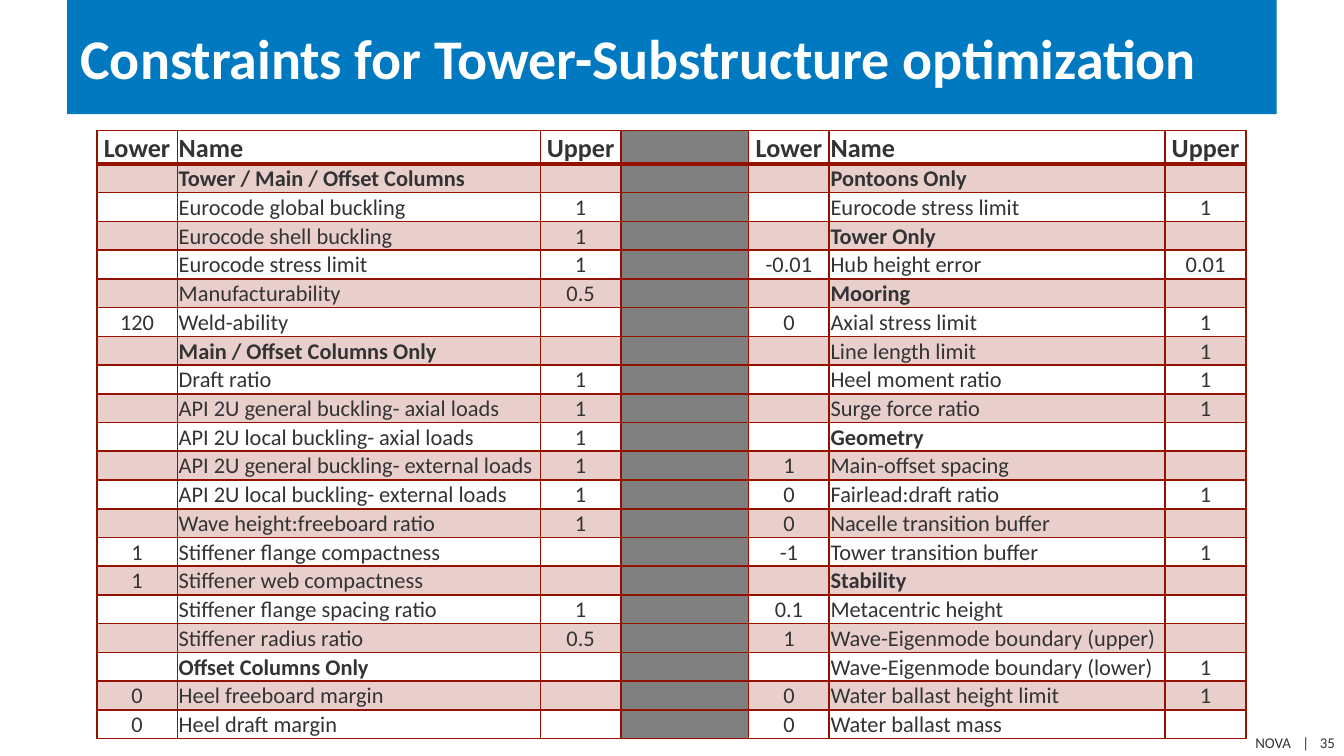
import dataclasses

import lxml.etree
import pptx
import pptx.dml.color
import pptx.enum.shapes
import pptx.enum.text
import pptx.oxml.ns
import pptx.util

Inches = pptx.util.Inches
Pt = pptx.util.Pt
RGB = pptx.dml.color.RGBColor.from_string
qn = pptx.oxml.ns.qn
ALIGN = pptx.enum.text.PP_ALIGN
ANCHOR = pptx.enum.text.MSO_ANCHOR


@dataclasses.dataclass(frozen=True)
class Theme:
    font: str = "Calibri"
    banner: str = "0079C1"
    title_text: str = "FFFFFF"
    text: str = "333333"
    accent: str = "941100"
    divider: str = "808080"
    band_opacity: int = 20
    title_size: int = 30
    header_size: int = 14
    body_size: int = 12
    footer_size: int = 8


HEADER = ("Lower", "Name", "Upper")
SECTIONS = {
    "Tower / Main / Offset Columns", "Main / Offset Columns Only",
    "Offset Columns Only", "Pontoons Only", "Tower Only", "Mooring",
    "Geometry", "Stability",
}
LEFT = [
    ("", "Tower / Main / Offset Columns", ""),
    ("", "Eurocode global buckling", "1"),
    ("", "Eurocode shell buckling", "1"),
    ("", "Eurocode stress limit", "1"),
    ("", "Manufacturability", "0.5"),
    ("120", "Weld-ability", ""),
    ("", "Main / Offset Columns Only", ""),
    ("", "Draft ratio", "1"),
    ("", "API 2U general buckling- axial loads", "1"),
    ("", "API 2U local buckling- axial loads", "1"),
    ("", "API 2U general buckling- external loads", "1"),
    ("", "API 2U local buckling- external loads", "1"),
    ("", "Wave height:freeboard ratio", "1"),
    ("1", "Stiffener flange compactness", ""),
    ("1", "Stiffener web compactness", ""),
    ("", "Stiffener flange spacing ratio", "1"),
    ("", "Stiffener radius ratio", "0.5"),
    ("", "Offset Columns Only", ""),
    ("0", "Heel freeboard margin", ""),
    ("0", "Heel draft margin", ""),
]
RIGHT = [
    ("", "Pontoons Only", ""),
    ("", "Eurocode stress limit", "1"),
    ("", "Tower Only", ""),
    ("-0.01", "Hub height error", "0.01"),
    ("", "Mooring", ""),
    ("0", "Axial stress limit", "1"),
    ("", "Line length limit", "1"),
    ("", "Heel moment ratio", "1"),
    ("", "Surge force ratio", "1"),
    ("", "Geometry", ""),
    ("1", "Main-offset spacing", ""),
    ("0", "Fairlead:draft ratio", "1"),
    ("0", "Nacelle transition buffer", ""),
    ("-1", "Tower transition buffer", "1"),
    ("", "Stability", ""),
    ("0.1", "Metacentric height", ""),
    ("1", "Wave-Eigenmode boundary (upper)", ""),
    ("", "Wave-Eigenmode boundary (lower)", "1"),
    ("0", "Water ballast height limit", "1"),
    ("0", "Water ballast mass", ""),
]
COLUMNS = (0.6, 2.7, 0.6, 0.95, 0.6, 2.5, 0.6)
NAME_COLUMNS = (1, 5)
DIVIDER_COLUMN = 3


class SlideBuilder:
    def __init__(self, slide, theme):
        self.slide = slide
        self.theme = theme

    def style(self, p, size, color, bold=False, align=ALIGN.LEFT):
        p.alignment = align
        p.font.name = self.theme.font
        p.font.size = Pt(size)
        p.font.bold = bold
        p.font.color.rgb = RGB(color)

    def banner(self, text, x, y, w, h):
        sp = self.slide.shapes.add_shape(
            pptx.enum.shapes.MSO_SHAPE.RECTANGLE, Inches(x), Inches(y), Inches(w), Inches(h))
        sp.shadow.inherit = False
        sp.fill.solid()
        sp.fill.fore_color.rgb = RGB(self.theme.banner)
        sp.line.fill.background()
        tf = sp.text_frame
        tf.word_wrap = True
        tf.vertical_anchor = ANCHOR.MIDDLE
        tf.text = text
        self.style(tf.paragraphs[0], self.theme.title_size, self.theme.title_text, bold=True)

    def footer(self, parts, tabs, x, y, w, h):
        tf = self.slide.shapes.add_textbox(Inches(x), Inches(y), Inches(w), Inches(h)).text_frame
        tf.word_wrap = True
        tf.margin_left = Inches(0.05)
        tf.margin_top = tf.margin_right = tf.margin_bottom = 0
        p = tf.paragraphs[0]
        p.text = "\t".join(parts)
        stops = lxml.etree.SubElement(p._p.get_or_add_pPr(), qn("a:tabLst"))
        for tab in tabs:
            lxml.etree.SubElement(stops, qn("a:tab"), pos=str(Inches(tab)), algn="l")
        self.style(p, self.theme.footer_size, self.theme.text)

    def borders(self, cell, bottom):
        tcPr = cell._tc.get_or_add_tcPr()
        for side, width in (("L", 1), ("R", 1), ("T", 1), ("B", bottom)):
            ln = lxml.etree.SubElement(tcPr, qn(f"a:ln{side}"), w=str(Pt(width)))
            fill = lxml.etree.SubElement(ln, qn("a:solidFill"))
            lxml.etree.SubElement(fill, qn("a:srgbClr"), val=self.theme.accent)

    def fill_cell(self, cell, color=None, opacity=100):
        if color is None:
            cell.fill.background()
            return
        cell.fill.solid()
        cell.fill.fore_color.rgb = RGB(color)
        if opacity < 100:
            clr = cell._tc.tcPr.find(qn("a:solidFill")).find(qn("a:srgbClr"))
            lxml.etree.SubElement(clr, qn("a:alpha"), val=str(opacity * 1000))

    def cell(self, cell, text, row, col):
        theme = self.theme
        header = row == 0
        size = theme.header_size if header else theme.body_size
        self.borders(cell, 2 if header else 1)
        if col == DIVIDER_COLUMN:
            self.fill_cell(cell, theme.divider)
        elif row % 2:
            self.fill_cell(cell, theme.accent, theme.band_opacity)
        else:
            self.fill_cell(cell)
        cell.margin_left = cell.margin_top = cell.margin_right = Inches(0.01)
        cell.margin_bottom = 0
        cell.vertical_anchor = ANCHOR.BOTTOM
        p = cell.text_frame.paragraphs[0]
        if text:
            p.text = text
        self.style(p, size, theme.text, header or text in SECTIONS,
                   ALIGN.LEFT if col in NAME_COLUMNS else ALIGN.CENTER)
        if not text:
            lxml.etree.SubElement(p._p, qn("a:endParaRPr"), sz=str(size * 100))

    def table(self, rows, x, y, header_height, body_height):
        body_rows = len(rows) - 1
        table = self.slide.shapes.add_table(
            len(rows), len(COLUMNS), Inches(x), Inches(y),
            Inches(sum(COLUMNS)), Inches(header_height + body_height)).table
        table.first_row = table.horz_banding = False
        for column, width in zip(table.columns, COLUMNS):
            column.width = Inches(width)
        for i, values in enumerate(rows):
            table.rows[i].height = Inches(body_height / body_rows if i else header_height)
            for j, text in enumerate(values):
                self.cell(table.cell(i, j), text, i, j)


def main():
    prs = pptx.Presentation()
    prs.slide_width = Inches(10)
    prs.slide_height = Inches(10 * 9 / 16)
    s = SlideBuilder(prs.slides.add_slide(prs.slide_layouts[6]), Theme())
    s.footer(("NOVA", "|", "35"), (0.35, 0.48), 9.29, 5.46, 0.66, 0.13)
    s.banner("Constraints for Tower-Substructure optimization", 0.5, 0, 9, 0.85)
    rows = [(*a, "", *b) for a, b in zip([HEADER] + LEFT, [HEADER] + RIGHT)]
    s.table(rows, 0.72, 0.97, 0.25, 4.28)
    prs.save("out.pptx")


if __name__ == "__main__":
    main()
